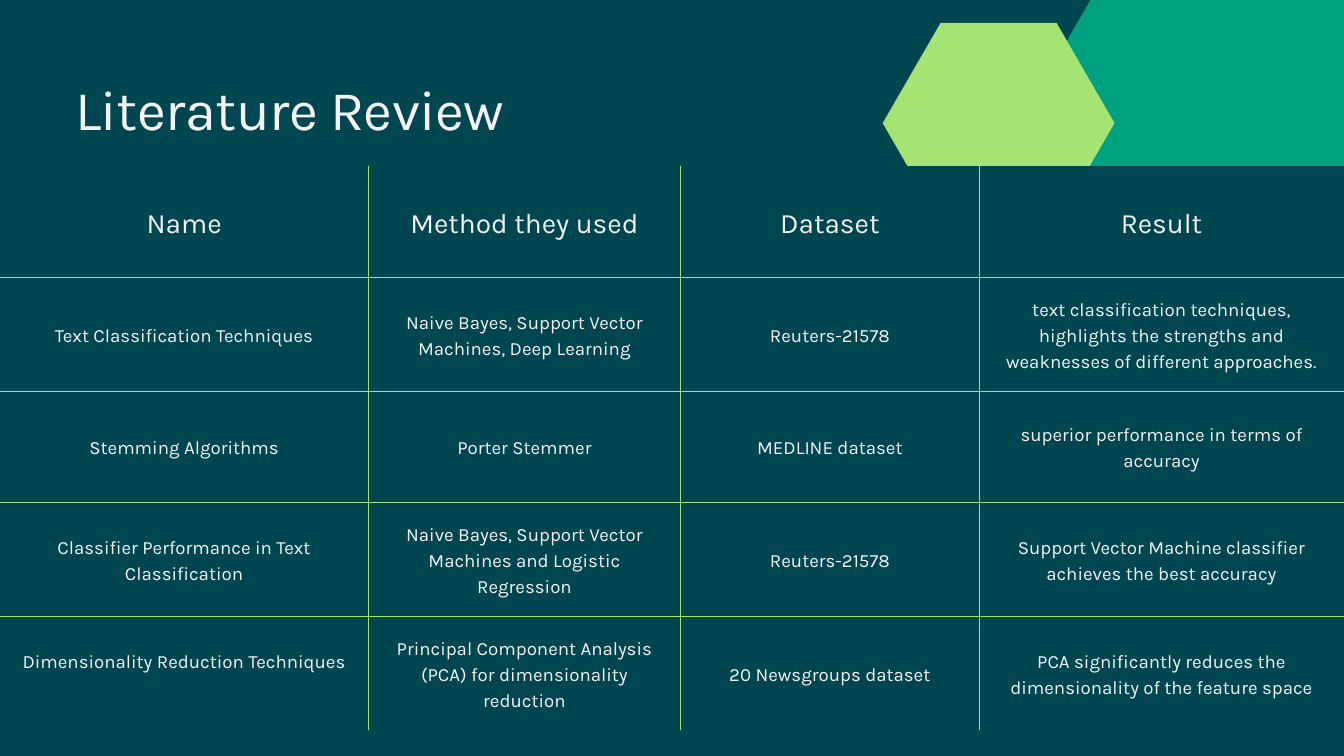
"""Build the literature review slide with its comparison table."""
from dataclasses import dataclass

from lxml import etree
from pptx import Presentation
from pptx.dml.color import RGBColor
from pptx.enum.text import MSO_ANCHOR, PP_ALIGN
from pptx.oxml.ns import qn
from pptx.slide import Slide
from pptx.table import _Cell
from pptx.text.text import _Paragraph
from pptx.util import Emu, Inches, Pt

CENTER = PP_ALIGN.CENTER
LEFT = PP_ALIGN.LEFT
MIDDLE = MSO_ANCHOR.MIDDLE
SLIDE_WIDTH = Inches(20)
SLIDE_HEIGHT = Inches(11.25)
GRID_COLUMNS = 80
UNIT = SLIDE_WIDTH / GRID_COLUMNS


@dataclass(frozen=True)
class TextStyle:
    """Type size, line pitch, letter spacing and alignment of a text."""
    size: float
    pitch: float
    spacing: float = 0
    alignment: PP_ALIGN = CENTER


@dataclass(frozen=True)
class Theme:
    """Colours, font and text styles of the slide."""
    background: str = "004651"
    teal: str = "00A181"
    lime: str = "A4E473"
    text: str = "F4F4F4"
    font: str = "Karla"
    rule: float = 0.75
    title: TextStyle = TextStyle(60, 72, -0.6, LEFT)
    header: TextStyle = TextStyle(30, 42)
    body: TextStyle = TextStyle(20, 28)


@dataclass(frozen=True)
class Box:
    """Place and size in grid units."""
    left: float
    top: float
    width: float
    height: float

    def lengths(self) -> tuple[Emu, Emu, Emu, Emu]:
        """Return the box as slide lengths."""
        return grid(self.left), grid(self.top), grid(self.width), grid(self.height)


@dataclass(frozen=True)
class Hexagon:
    """A flat-topped hexagon filling its box."""
    box: Box
    color: str


THEME = Theme()
HEXAGONS = (
    Hexagon(Box(59.44, -2.28, 27.16, 23.54), THEME.teal),
    Hexagon(Box(52.54, 1.36, 13.8, 11.94), THEME.lime),
)
HEXAGON_SHARES = ((1, 0.5), (0.75, 1), (0.25, 1), (0, 0.5), (0.25, 0), (0.75, 0))
TITLE_BOX = Box(4.48, 4.44, 30.24, 8.04)
TABLE_TOP = 9.88
COLUMN_WIDTHS = (21.92, 18.6, 17.76, 21.72)
ROW_HEIGHTS = (6.6, 6.8, 6.6, 6.8, 6.8)
CELL_MARGIN = 0.84
RAISED_MARGIN = 2.4
RAISED_CELL = (4, 0)
REVIEW = (
    ("Name", "Method they used", "Dataset", "Result"),
    ("Text Classification Techniques",
     "Naive Bayes, Support Vector Machines, Deep Learning",
     "Reuters-21578",
     "text classification techniques, highlights the strengths and "
     "weaknesses of different approaches."),
    ("Stemming Algorithms", "Porter Stemmer", "MEDLINE dataset",
     "superior performance in terms of accuracy"),
    ("Classifier Performance in Text Classification",
     "Naive Bayes, Support Vector Machines and Logistic Regression",
     "Reuters-21578",
     "Support Vector Machine classifier achieves the best accuracy"),
    ("Dimensionality Reduction Techniques",
     "Principal Component Analysis (PCA) for dimensionality reduction",
     "20 Newsgroups dataset",
     "PCA significantly reduces the dimensionality of the feature space"),
)


def grid(units: float) -> Emu:
    """Turn grid units into a slide length."""
    return Emu(round(units * UNIT))


def apply(target: object, values: dict[str, object]) -> None:
    """Set each named attribute on the target."""
    for name, value in values.items():
        setattr(target, name, value)


def write(paragraph: _Paragraph, text: str, style: TextStyle) -> None:
    """Write one styled run into a paragraph."""
    apply(paragraph, {"alignment": style.alignment, "line_spacing": Pt(style.pitch)})
    run = paragraph.add_run()
    run.text = text
    apply(run.font, {"name": THEME.font, "size": Pt(style.size)})
    run.font.color.rgb = RGBColor.from_string(THEME.text)
    if style.spacing:
        run.font._element.set("spc", str(round(style.spacing * 100)))


def draw_hexagon(slide: Slide, hexagon: Hexagon) -> None:
    """Draw a filled hexagon without an outline."""
    left, top, width, height = hexagon.box.lengths()
    points = [(left + width * x, top + height * y) for x, y in HEXAGON_SHARES]
    builder = slide.shapes.build_freeform(*points[0])
    builder.add_line_segments(points[1:], close=True)
    shape = builder.convert_to_shape()
    shape.shadow.inherit = False
    shape.fill.solid()
    shape.fill.fore_color.rgb = RGBColor.from_string(hexagon.color)
    shape.line.fill.background()


def draw_title(slide: Slide, text: str) -> None:
    """Draw the slide title."""
    frame = slide.shapes.add_textbox(*TITLE_BOX.lengths()).text_frame
    apply(frame, {"word_wrap": True, "margin_left": 0, "margin_top": 0,
                  "margin_right": 0, "margin_bottom": 0})
    write(frame.paragraphs[0], text, THEME.title)


def add_borders(cell: _Cell, row: int, column: int) -> None:
    """Rule the inner edges of a cell and leave the table's outer edges open."""
    visible = {
        "a:lnL": column > 0,
        "a:lnR": column < len(COLUMN_WIDTHS) - 1,
        "a:lnT": row > 0,
        "a:lnB": row < len(ROW_HEIGHTS) - 1,
    }
    properties = cell._tc.get_or_add_tcPr()
    for tag, shown in visible.items():
        width = Pt(THEME.rule) if shown else 0
        line = etree.SubElement(properties, qn(tag), w=str(width))
        fill = etree.SubElement(line, qn("a:solidFill" if shown else "a:noFill"))
        if shown:
            etree.SubElement(fill, qn("a:srgbClr"), val=THEME.lime)


def draw_cell(cell: _Cell, row: int, column: int, text: str) -> None:
    """Fill, rule and label one table cell."""
    margin = grid(CELL_MARGIN)
    bottom = grid(RAISED_MARGIN) if (row, column) == RAISED_CELL else margin
    apply(cell, {"margin_left": margin, "margin_right": margin, "margin_top": margin,
                 "margin_bottom": bottom, "vertical_anchor": MIDDLE})
    add_borders(cell, row, column)
    cell.fill.solid()
    cell.fill.fore_color.rgb = RGBColor.from_string(THEME.background)
    write(cell.text_frame.paragraphs[0], text, THEME.body if row else THEME.header)


def draw_table(slide: Slide) -> None:
    """Draw the review table across the full slide width."""
    box = Box(0, TABLE_TOP, sum(COLUMN_WIDTHS), sum(ROW_HEIGHTS))
    frame = slide.shapes.add_table(len(ROW_HEIGHTS), len(COLUMN_WIDTHS), *box.lengths())
    table = frame.table
    apply(table, {"first_row": False, "horz_banding": False})
    for column, width in zip(table.columns, COLUMN_WIDTHS):
        column.width = grid(width)
    for row, height in zip(table.rows, ROW_HEIGHTS):
        row.height = grid(height)
    for row, texts in enumerate(REVIEW):
        for column, text in enumerate(texts):
            draw_cell(table.cell(row, column), row, column, text)


def main() -> None:
    """Build and save the presentation."""
    presentation = Presentation()
    apply(presentation, {"slide_width": SLIDE_WIDTH, "slide_height": SLIDE_HEIGHT})
    slide = presentation.slides.add_slide(presentation.slide_layouts[6])
    slide.background.fill.solid()
    slide.background.fill.fore_color.rgb = RGBColor.from_string(THEME.background)
    for hexagon in HEXAGONS:
        draw_hexagon(slide, hexagon)
    draw_table(slide)
    draw_title(slide, "Literature Review")
    presentation.save("out.pptx")


if __name__ == "__main__":
    main()
